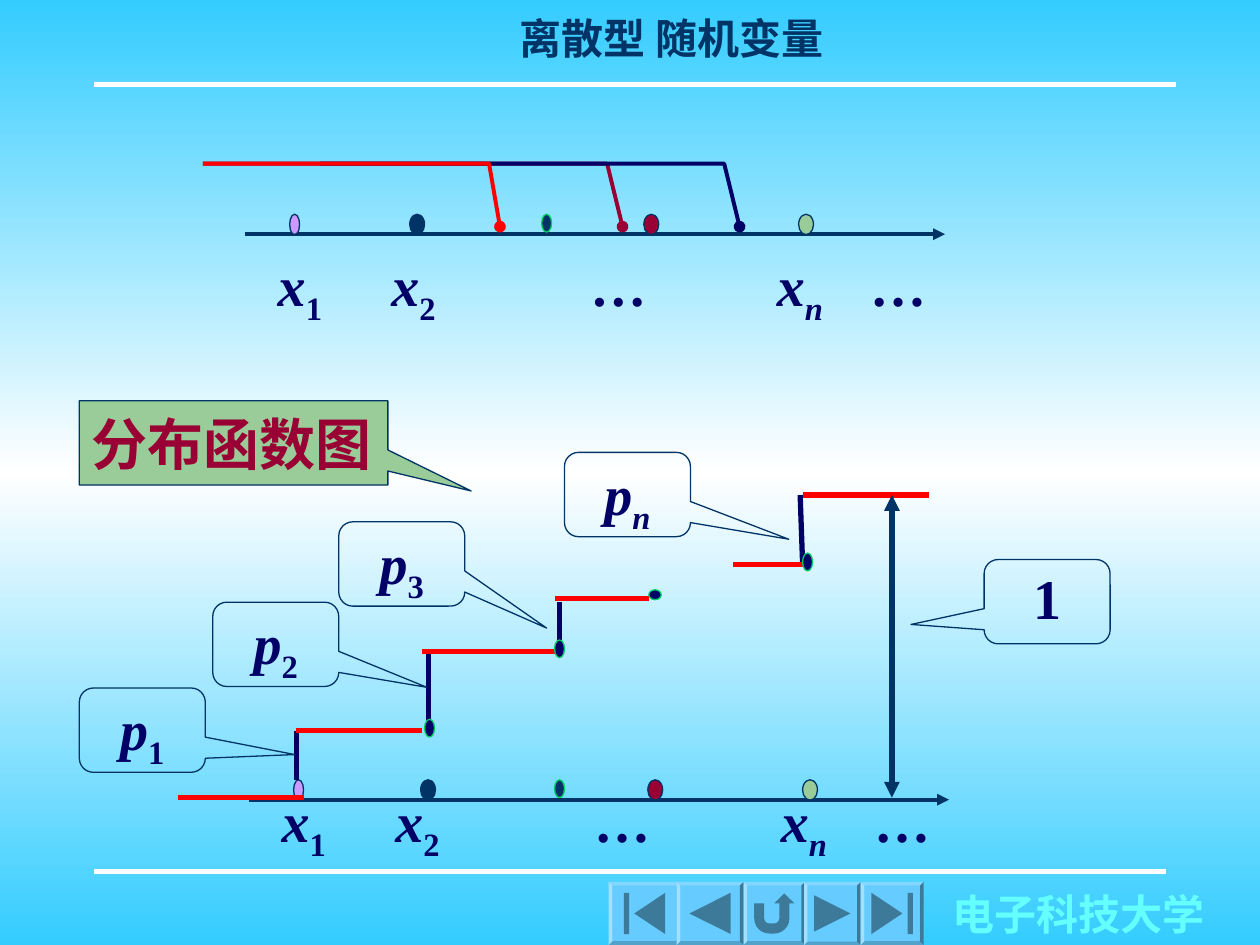
from copy import deepcopy
from typing import NamedTuple

from lxml.etree import SubElement
from pptx import Presentation
from pptx.dml.color import RGBColor
from pptx.enum.shapes import MSO_CONNECTOR, MSO_SHAPE as Shape
from pptx.enum.text import MSO_ANCHOR as Anchor, MSO_AUTO_SIZE as AutoSize, PP_ALIGN as Align
from pptx.oxml.ns import qn
from pptx.util import Cm, Pt

NAVY, TEAL, RED, MAROON = "000066", "003366", "FF0000", "990033"
SAGE, LILAC, GREEN, WHITE = "99CC99", "CC99FF", "00CC66", "FFFFFF"
SERIF, SANS = "Times New Roman", "Noto Sans CJK SC"


class Box(NamedTuple):
    left: float
    top: float
    width: float
    height: float


class Label(NamedTuple):
    base: str
    subscript: str
    left: float
    width: float


class Callout(NamedTuple):
    base: str
    subscript: str
    left: float
    top: float
    tip: tuple[float, float]


class Dot(NamedTuple):
    width: float
    height: float
    fill: str
    outline: str


class Polyline(NamedTuple):
    color: str
    points: list[tuple[float, float]]


class Button(NamedTuple):
    kind: Shape
    left: float
    width: float


DOTS = [Dot(0.2, 0.41, LILAC, TEAL), Dot(0.3, 0.41, TEAL, TEAL), Dot(0.2, 0.36, TEAL, GREEN),
        Dot(0.3, 0.41, MAROON, TEAL), Dot(0.3, 0.41, SAGE, TEAL)]
LABELS = [Label("x", "1", 5.35, 1.4), Label("x", "2", 7.64, 1.4), Label("…", "", 11.65, 1.63),
          Label("x", "n", 15.41, 1.55), Label("…", "", 17.29, 1.63)]
POINTERS = [Polyline(MAROON, [(12.55, 4.57), (12.24, 3.3), (4.09, 3.3)]),
            Polyline(NAVY, [(14.91, 4.57), (14.6, 3.3), (6.45, 3.3)]),
            Polyline(RED, [(10.08, 4.57), (9.86, 3.3), (4.09, 3.3)])]
RISERS = [(5.97, 14.73, 5.97, 15.72), (8.64, 13.13, 8.64, 14.73),
          (11.28, 12.14, 11.28, 13.13), (16.13, 9.98, 16.18, 11.38)]
STEPS = [(3.58, 6.12, 16.08), (16.18, 18.72, 9.98), (5.97, 8.51, 14.73),
         (8.51, 11.2, 13.13), (14.78, 16.18, 11.38), (11.18, 13.08, 12.07)]
STEP_ENDS = [Box(8.56, 14.5, 0.2, 0.36), Box(11.18, 12.9, 0.2, 0.36),
             Box(16.18, 11.15, 0.2, 0.36), Box(13.08, 11.89, 0.25, 0.2)]
CALLOUTS = [Callout("p", "1", 1.6, 13.87, (1.21, 0.29)), Callout("p", "2", 4.29, 12.14, (1.2, 0.51)),
            Callout("p", "3", 6.83, 10.52, (1.15, 0.76)), Callout("p", "n", 11.38, 9.12, (1.28, 0.53)),
            Callout("1", "", 19.84, 11.28, (-1.08, 0.27))]
BUTTONS = [Button(Shape.ACTION_BUTTON_BEGINNING, 12.27, 1.45),
           Button(Shape.ACTION_BUTTON_BACK_OR_PREVIOUS, 13.64, 1.35),
           Button(Shape.ACTION_BUTTON_RETURN, 14.99, 1.24),
           Button(Shape.ACTION_BUTTON_FORWARD_OR_NEXT, 16.21, 1.14),
           Button(Shape.ACTION_BUTTON_END, 17.35, 1.27)]


def rgb(color: str) -> RGBColor:
    return RGBColor.from_string(color)


def style_line(item, color: str, width: float, head: str = "", tail: str = "") -> None:
    item.line.color.rgb = rgb(color)
    item.line.width = Pt(width)
    properties = item.line._get_or_add_ln()
    for tag, kind in (("a:headEnd", head), ("a:tailEnd", tail)):
        if kind:
            SubElement(properties, qn(tag), type=kind)


def add_line(slide, x1: float, y1: float, x2: float, y2: float, color: str,
             width: float = 3, head: str = "", tail: str = "") -> None:
    connector = slide.shapes.add_connector(MSO_CONNECTOR.STRAIGHT, Cm(x1), Cm(y1), Cm(x2), Cm(y2))
    style_line(connector, color, width, head, tail)
    SubElement(connector._element.spPr, qn("a:effectLst"))


def add_polyline(slide, polyline: Polyline) -> None:
    start, *others = [(Cm(x), Cm(y)) for x, y in polyline.points]
    builder = slide.shapes.build_freeform(*start)
    builder.add_line_segments(others, close=False)
    shape = builder.convert_to_shape()
    shape.shadow.inherit = False
    shape.fill.background()
    style_line(shape, polyline.color, 2.25, head="oval")


def add_shape(slide, kind: Shape, box: Box, fill: str = "", outline: str = "", adjustments=()):
    shape = slide.shapes.add_shape(kind, *map(Cm, box))
    shape.shadow.inherit = False
    for index, value in enumerate(adjustments):
        shape.adjustments[index] = value
    if fill:
        shape.fill.solid()
        shape.fill.fore_color.rgb = rgb(fill)
    else:
        shape.fill.background()
    if outline:
        style_line(shape, outline, 0.75)
    else:
        shape.line.fill.background()
    return shape


def write(shape, text: str, *, subscript: str = "", size: float = 32, font: str = SERIF,
          color: str = NAVY, align=Align.LEFT, anchor=Anchor.TOP, wrap: bool = False,
          grow: bool = False, spacing: float = 1, bottom: float = 0.13) -> None:
    frame = shape.text_frame
    frame.word_wrap = wrap
    frame.auto_size = AutoSize.SHAPE_TO_FIT_TEXT if grow else AutoSize.NONE
    frame.vertical_anchor = anchor
    frame.margin_left = frame.margin_right = Cm(0.25)
    frame.margin_top, frame.margin_bottom = Cm(0.13), Cm(bottom)
    paragraph = frame.paragraphs[0]
    paragraph.alignment = align
    paragraph.line_spacing = spacing
    for part in filter(None, (text, subscript)):
        run = paragraph.add_run()
        run.text = part
        run.font.name, run.font.size, run.font.bold = font, Pt(size), True
        run.font.italic = part in ("x", "p", "n")
        run.font.color.rgb = rgb(color)
        if part == subscript:
            run.font._element.set("baseline", "-25000")


def add_text(slide, box: Box, text: str, **text_format) -> None:
    write(slide.shapes.add_textbox(*map(Cm, box)), text, grow=True, **text_format)


def add_axis(slide, shift: float, dot_top: float, label_top: float, dot_lefts: list[float]) -> None:
    axis_y = dot_top + 0.4
    add_line(slide, 4.93 + shift, axis_y, 19.05 + shift, axis_y, TEAL, 2.25, tail="triangle")
    for left, dot in zip(dot_lefts, DOTS):
        add_shape(slide, Shape.OVAL, Box(left, dot_top, dot.width, dot.height), dot.fill, dot.outline)
    for label in LABELS:
        box = Box(label.left + shift, label_top, label.width, 1.8 if label.subscript else 1.63)
        add_text(slide, box, label.base, subscript=label.subscript)


def add_button(slide, button: Button) -> None:
    top, height, edge = 17.78, 1.27, 0.08
    add_shape(slide, Shape.BEVEL, Box(button.left, top, button.width, height), "66CCFF",
              adjustments=[0.06])
    face = Box(button.left + edge, top + edge, button.width - 2 * edge, height - 2 * edge)
    add_shape(slide, button.kind, face, "66CCFF")


def paint_background(slide) -> None:
    fill = slide.background.fill
    fill.gradient()
    fill.gradient_angle = 90
    stop_list = slide.element.find(".//" + qn("a:gsLst"))
    stop_list.insert(1, deepcopy(stop_list[0]))
    for stop, position, color in zip(fill.gradient_stops, (0, 0.5, 1), ("33CCFF", WHITE, "33CCFF")):
        stop.position = position
        stop.color.rgb = rgb(color)


def main() -> None:
    presentation = Presentation()
    presentation.slide_width, presentation.slide_height = Cm(25.4), Cm(19.05)
    slide = presentation.slides.add_slide(presentation.slide_layouts[6])

    # Frame: background, title, rules and footer
    paint_background(slide)
    add_text(slide, Box(8.46, 0.13, 10.16, 1.17), "离散型 随机变量", size=24, font=SANS,
             color=TEAL, align=Align.CENTER, wrap=True, bottom=0.03)
    add_line(slide, 1.9, 17.57, 23.5, 17.57, WHITE)
    add_text(slide, Box(18.95, 17.78, 5.59, 1.27), "电子科技大学", size=24, color="66FFFF")
    add_line(slide, 1.9, 1.7, 23.7, 1.7, WHITE)

    # Upper number line with its pointers
    add_axis(slide, 0, 4.32, 4.93, [5.84, 8.26, 10.92, 12.98, 16.1])
    for pointer in POINTERS:
        add_polyline(slide, pointer)

    # Distribution function: heading, axis and steps
    heading = add_shape(slide, Shape.RECTANGULAR_CALLOUT, Box(1.6, 8.08, 6.22, 1.7), SAGE, TEAL,
                        (0.77, 0.57))
    write(heading, "分布函数图", color=MAROON, anchor=Anchor.MIDDLE)
    add_axis(slide, 0.08, 15.72, 15.72, [5.92, 8.48, 11.18, 13.06, 16.18])
    for riser in RISERS:
        add_line(slide, *riser, NAVY)
    for start, end, height in STEPS:
        add_line(slide, start, height, end, height, RED)
    for box in STEP_ENDS:
        add_shape(slide, Shape.OVAL, box, NAVY, GREEN)
    add_line(slide, 17.98, 9.98, 17.98, 16.08, TEAL, head="triangle", tail="triangle")

    # Jump sizes
    for callout in CALLOUTS:
        shape = add_shape(slide, Shape.ROUNDED_RECTANGULAR_CALLOUT,
                          Box(callout.left, callout.top, 2.54, 1.7), "", TEAL, callout.tip)
        write(shape, callout.base, subscript=callout.subscript, align=Align.CENTER,
              anchor=Anchor.MIDDLE, wrap=True, spacing=0.9)

    # Navigation buttons
    for button in BUTTONS:
        add_button(slide, button)

    presentation.save("out.pptx")


if __name__ == "__main__":
    main()
